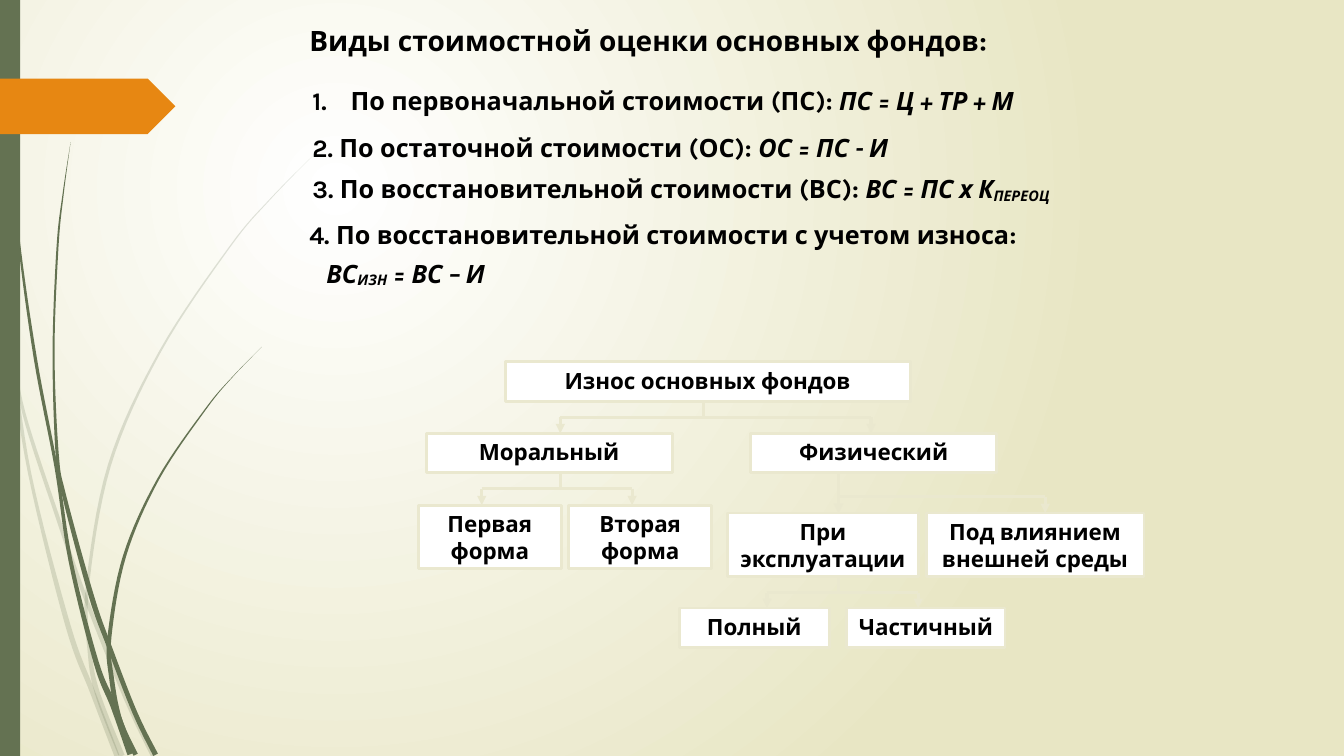
from dataclasses import dataclass
from math import hypot
from lxml.etree import SubElement
from pptx import Presentation
from pptx.dml.color import RGBColor
from pptx.enum.shapes import MSO_CONNECTOR, MSO_SHAPE
from pptx.enum.text import MSO_ANCHOR, MSO_AUTO_SIZE, PP_ALIGN
from pptx.oxml import parse_xml
from pptx.oxml.ns import nsdecls, qn
from pptx.util import Cm, Pt


@dataclass(frozen=True)
class Theme:
    font: str = "Karla"
    ink: str = "000000"
    white: str = "FFFFFF"
    sand: str = "E8E6C4"
    edge: str = "EAE8CF"
    green: str = "647252"
    orange: str = "E78712"
    head: int = 20
    body: int = 18
    label: int = 16


theme = Theme()

# Content: text runs are (words, style), style i = italic, s = italic subscript
TITLE = "Виды стоимостной оценки основных фондов:"
# Runs, left margin and first-line indent in cm, space before in points
ITEMS = [
    ([("По первоначальной стоимости (ПС): ", ""), ("ПС = Ц + ТР + М", "i")], 1.04, -0.96, 0),
    ([("2. По остаточной стоимости (ОС): ", ""), ("ОС = ПС - И", "i")], 0.08, 0, 12),
    ([("3. По восстановительной стоимости (ВС): ", ""), ("ВС = ПС х К", "i"),
      ("ПЕРЕОЦ", "s")], 0.08, 0, 7.5),
    ([("4. По восстановительной стоимости с учетом износа:", "")], 0, 0, 11),
    ([("ВС", "i"), ("ИЗН", "s"), (" = ВС – И", "i")], 0.43, 0, 6),
]
# Diagram rows: top, height, boxes as (text, left, width)
ROWS = [
    (9.12, 0.99, [("Износ основных фондов", 12.73, 10.21)]),
    (10.92, 0.99, [("Моральный", 10.74, 6.2), ("Физический", 18.92, 6.2)]),
    (12.73, 1.6, [("Первая форма", 10.54, 3.61), ("Вторая форма", 14.33, 3.61)]),
    (12.93, 1.6, [("При эксплуатации", 18.34, 4.8), ("Под влиянием внешней среды", 23.34, 5.49)]),
    (15.32, 0.99, [("Полный", 17.12, 3.78), ("Частичный", 21.34, 3.99)]),
]
# Branches: stem x, stem top, bar y, arrow end y, child x positions
FORKS = [
    (17.73, 10.13, 10.52, 10.92, (14.12, 21.95)),
    (14.12, 11.91, 12.32, 12.73, (12.14, 15.93)),
    (21.13, 11.91, 12.52, 12.93, (21.13, 26.34)),
    (21.13, 14.53, 14.94, 15.32, (19.33, 23.14)),
]
# Grass blades: opacity in percent, then (x, y, thickness) along the blade
BLADES = [
    (20, [(.08, 7.4, .2), (.27, 8.75, .12), (.75, 11.94, .08), (1.71, 15.75, .13),
          (2.35, 17.48, .13), (2.95, 19.05, .13)]),
    (20, [(.36, 8.76, 0), (.6, 10.4, .08), (1.52, 13.23, .1), (2.15, 15.05, .1),
          (3.17, 17.6, .1), (3.87, 19.05, .13)]),
    (20, [(7.92, 3.89, 0), (6.81, 5.02, .02), (5.8, 6.21, .03), (4.04, 8.85, .05),
          (2.76, 11.72, .08), (2.2, 14.83, .08), (2.26, 16.41, .1), (2.46, 17.48, .13),
          (3.07, 19.05, .15)]),
    (100, [(.1, 0, .03), (.2, 2.8, .03), (.46, 5.92, .05), (.89, 9.02, .08),
           (1.42, 11.8, .08), (1.78, 14.14, .1), (2.43, 16.71, .13), (2.87, 17.8, .16),
           (3.3, 19, .18)]),
    (100, [(1.78, 3.58, 0), (1.59, 4.9, .03), (1.45, 6.22, .05), (1.35, 8.86, .05),
           (1.44, 11.43, .08), (1.62, 12.5, .1), (2.3, 15.01, .13), (2.76, 16.31, .12),
           (3.4, 17.96, .12), (3.92, 19.02, .13)]),
    (100, [(6.6, 8.74, 0), (5.87, 9.49, .01), (5.19, 10.3, .03), (3.99, 12.07, .05),
           (3.14, 14.01, .08), (2.76, 16.05, .1), (2.81, 17.07, .12), (3.02, 18.14, .12),
           (3.42, 19.02, .12)]),
]


def color(code):
    return RGBColor.from_string(code)


def write(para, runs, size=theme.body, align=PP_ALIGN.LEFT, before=0, margin=0, indent=0):
    para.alignment = align
    para.space_before = Pt(before)
    props = para._p.get_or_add_pPr()
    props.set("marL", str(Cm(margin)))
    props.set("indent", str(Cm(indent)))
    if indent:
        SubElement(props, qn("a:buFont"), typeface="+mj-lt")
        SubElement(props, qn("a:buAutoNum"), type="arabicPeriod")
    else:
        SubElement(props, qn("a:buNone"))
    for words, style in runs:
        run = para.add_run()
        run.text = words
        font = run.font
        font.name, font.size, font.bold = theme.font, Pt(size), True
        font.italic = style != ""
        font.color.rgb = color(theme.ink)
        if style == "s":
            run._r.get_or_add_rPr().set("baseline", "-10000")


def frame(shape):
    text = shape.text_frame
    text.word_wrap = True
    text.auto_size = MSO_AUTO_SIZE.NONE
    text.vertical_anchor = MSO_ANCHOR.TOP
    return text


def place(shape, left, top, width, height):
    shape.left, shape.top, shape.width, shape.height = map(Cm, (left, top, width, height))
    return frame(shape)


def paint(shape, fill, edge=None):
    shape.shadow.inherit = False
    shape.fill.solid()
    shape.fill.fore_color.rgb = color(fill)
    if edge:
        shape.line.color.rgb = color(edge)
        shape.line.width = Pt(2)
    else:
        shape.line.fill.background()


def block(kind, left, top, width, height, fill, edge=None):
    shape = slide.shapes.add_shape(kind, Cm(left), Cm(top), Cm(width), Cm(height))
    paint(shape, fill, edge)
    return shape


def smooth(knots, steps=8):
    ends = [knots[0], *knots, knots[-1]]
    for a, b, c, d in zip(ends, ends[1:], ends[2:], ends[3:]):
        for t in (n / steps for n in range(steps)):
            yield tuple((2 * q + (r - p) * t + (2 * p - 5 * q + 4 * r - s) * t ** 2
                         + (3 * q - p - 3 * r + s) * t ** 3) / 2
                        for p, q, r, s in zip(a, b, c, d))
    yield knots[-1]


def blade(alpha, knots):
    spine = list(smooth(knots))
    near, far = [], []
    for i, (x, y, wide) in enumerate(spine):
        a, b = spine[max(i - 1, 0)], spine[min(i + 1, len(spine) - 1)]
        dx, dy = b[0] - a[0], b[1] - a[1]
        half = wide / 2 / hypot(dx, dy)
        near.append((Cm(x - dy * half), Cm(y + dx * half)))
        far.append((Cm(x + dy * half), Cm(y - dx * half)))
    edge = near + far[::-1]
    path = slide.shapes.build_freeform(*edge[0], scale=1.0)
    path.add_line_segments(edge[1:], close=True)
    shape = path.convert_to_shape()
    paint(shape, theme.green)
    if alpha < 100:
        tone = shape._element.spPr.find(".//" + qn("a:srgbClr"))
        SubElement(tone, qn("a:alpha"), val=str(alpha * 1000))


def link(x1, y1, x2, y2, arrow=False):
    wire = slide.shapes.add_connector(MSO_CONNECTOR.STRAIGHT, Cm(x1), Cm(y1), Cm(x2), Cm(y2))
    wire.line.color.rgb = color(theme.edge)
    wire.line.width = Pt(2.25)
    if arrow:
        SubElement(wire.line._get_or_add_ln(), qn("a:tailEnd"), type="triangle")
    SubElement(wire._element.spPr, qn("a:effectLst"))


deck = Presentation()
deck.slide_width, deck.slide_height = Cm(33.87), Cm(19.05)
slide = deck.slides.add_slide(deck.slide_layouts[1])

# Background: round glow
back = slide.background.fill
back.gradient()
for stop, tone in zip(back.gradient_stops, (theme.white, theme.sand)):
    stop.color.rgb = color(tone)
back.gradient_stops[0].position, back.gradient_stops[1].position = 0, 1
slant = slide._element.find(".//" + qn("a:lin"))
slant.getparent().replace(slant, parse_xml(
    f'<a:path {nsdecls("a")} path="circle">'
    '<a:fillToRect l="50000" t="50000" r="100000" b="100000"/></a:path>'))

# Grass, side band and pointer
for alpha, knots in BLADES:
    blade(alpha, knots)
block(MSO_SHAPE.RECTANGLE, 0, 0, 0.51, 19.05, theme.green)
block(MSO_SHAPE.PENTAGON, 0, 1.98, 4.42, 1.4, theme.orange)

# Title and list
text = place(slide.shapes.title, 7.54, 0.46, 19, 1.09)
write(text.paragraphs[0], [(TITLE, "")], size=theme.head)
text = place(slide.placeholders[1], 7.54, 2.03, 21.8, 5.9)
for i, (runs, margin, indent, before) in enumerate(ITEMS):
    para = text.add_paragraph() if i else text.paragraphs[0]
    write(para, runs, margin=margin, indent=indent, before=before)

# Diagram
for top, height, boxes in ROWS:
    for words, left, width in boxes:
        box = block(MSO_SHAPE.RECTANGLE, left, top, width, height, theme.white, theme.edge)
        write(frame(box).paragraphs[0], [(words, "")], size=theme.label, align=PP_ALIGN.CENTER)
for stem, top, bar, end, kids in FORKS:
    link(stem, top, stem, bar)
    link(kids[0], bar, kids[-1], bar)
    for kid in kids:
        link(kid, bar, kid, end, arrow=True)

deck.save("out.pptx")
